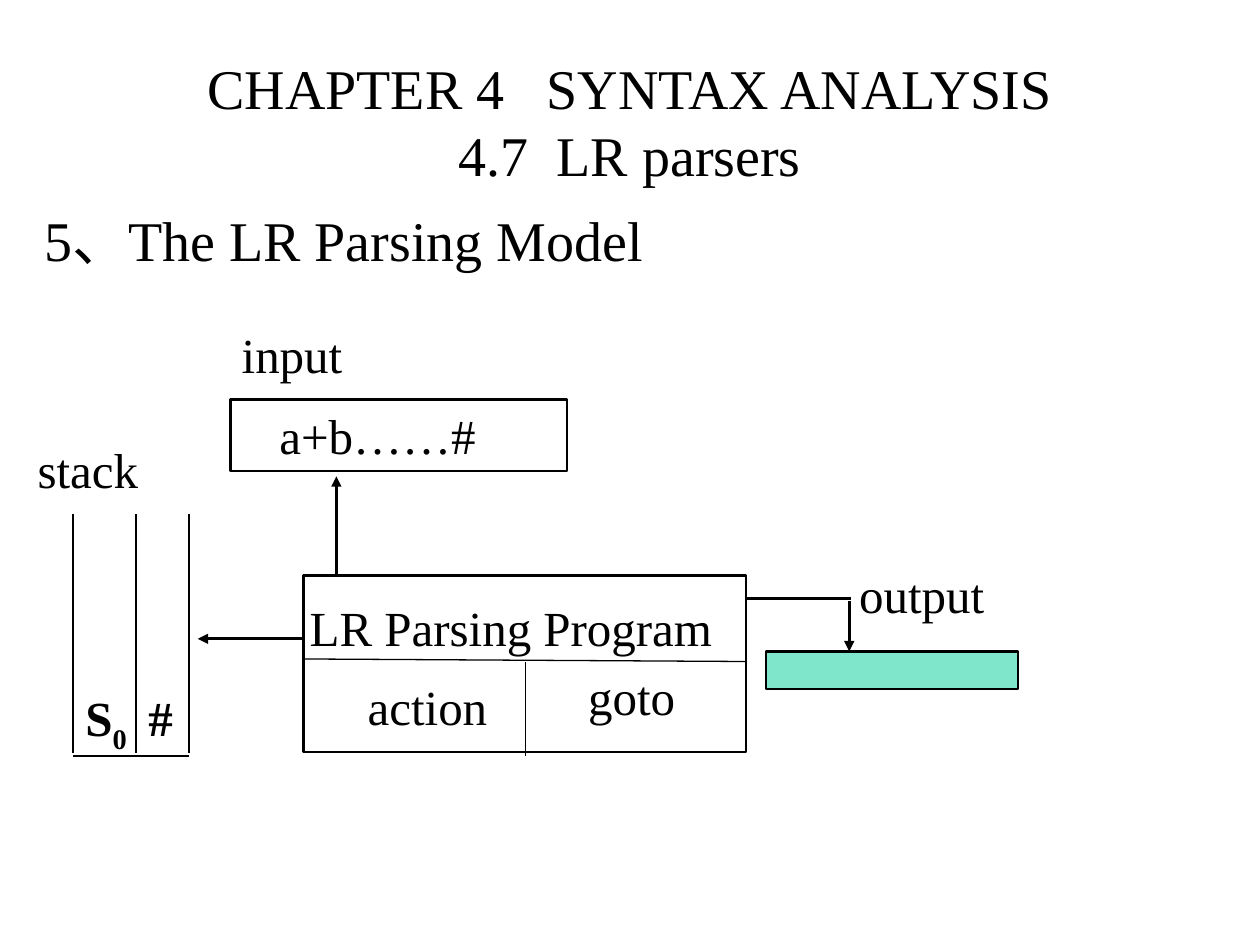
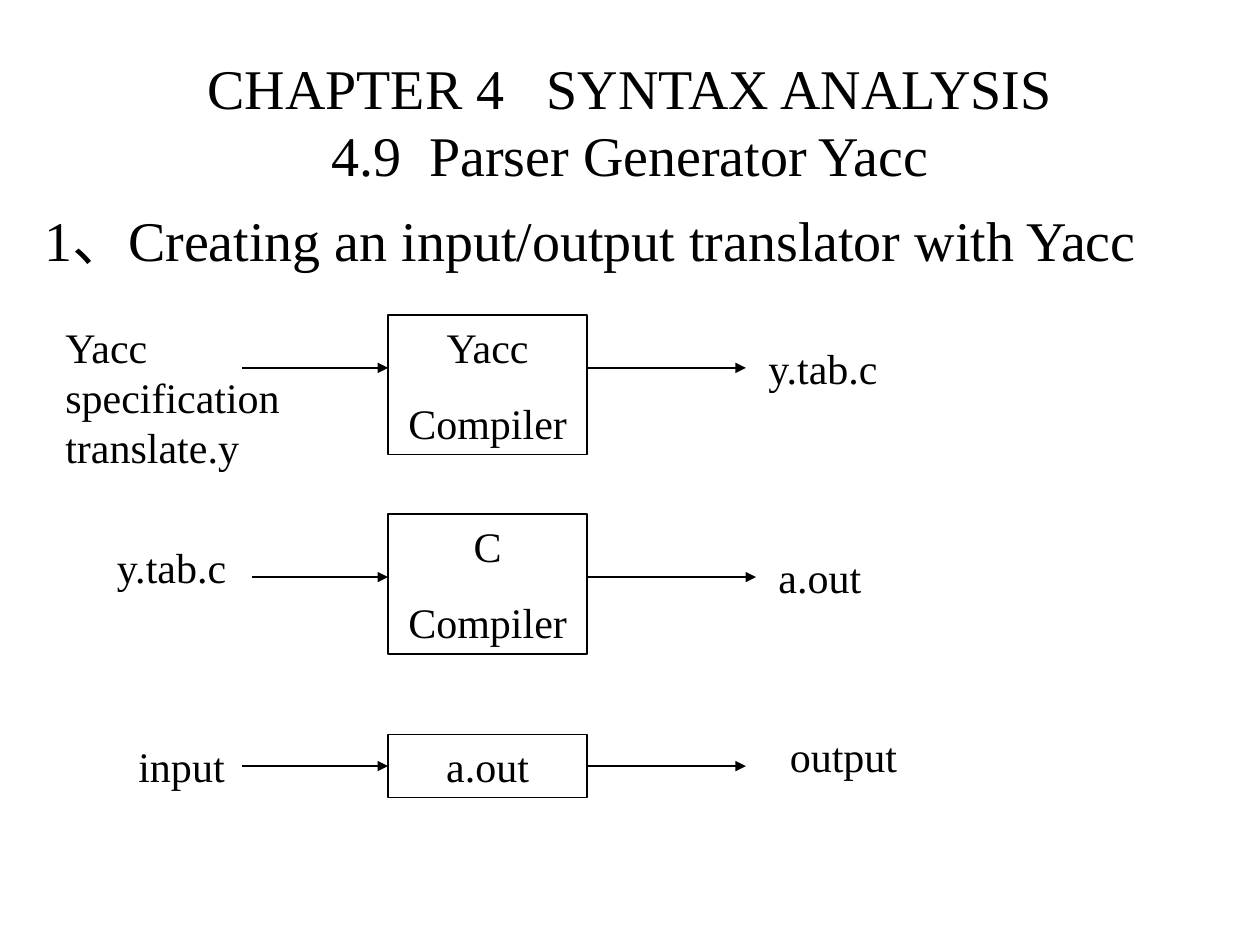
"""Build two syntax analysis slides: the LR parsing model and the Yacc workflow."""
from lxml import etree
from pptx import Presentation
from pptx.dml.color import RGBColor
from pptx.enum.shapes import MSO_CONNECTOR, MSO_SHAPE
from pptx.enum.text import MSO_ANCHOR, MSO_AUTO_SIZE, PP_ALIGN
from pptx.oxml.ns import qn
from pptx.util import Inches, Pt

RECTANGLE = MSO_SHAPE.RECTANGLE
STRAIGHT = MSO_CONNECTOR.STRAIGHT
LEFT, CENTER = PP_ALIGN.LEFT, PP_ALIGN.CENTER
MIDDLE, TOP = MSO_ANCHOR.MIDDLE, MSO_ANCHOR.TOP
NO_AUTOFIT = MSO_AUTO_SIZE.NONE
LEFT_SIDE, RIGHT_SIDE = 1, 3

COLORS = {"ink": "000000", "output": "00CC99"}
FONT = "Times New Roman"
HEADING_SIZE, MODEL_SIZE, FLOW_SIZE = 32, 28, 24
THICK, THIN = 1.5, 0.75

CHAPTER = "CHAPTER 4   SYNTAX ANALYSIS"
TITLE_AREA = (0.75, 0.17, 8.5, 1.58)
BODY_AREA = (0.25, 1.58, 9.25, 5.67)

MODEL = {"section": "4.7  LR parsers", "topic": "5、The LR Parsing Model"}
PROGRAM_AREA = (2.41, 4.57, 3.51, 1.4)
OUTPUT_AREA = (6.08, 5.17, 2, 0.3)
INPUT_AREA = (1.83, 3.17, 2.67, 0.57)
INPUT_TEXT, INPUT_INDENT = "a+b……#", 0.29
STACK_AREA = (0.58, 5.41, 1.17, 0.65)
STACK_TAB = 0.5
STACK_COLUMNS, STACK_TOP, STACK_BOTTOM = (0.58, 1.08, 1.5), 4.08, 5.98
MODEL_LABELS = [
    ("LR Parsing Program", 2.36, 4.69, 3.39),
    ("output", 6.72, 4.43, 1.19),
    ("action", 2.82, 5.32, 1.15),
    ("goto", 4.57, 5.24, 0.89),
    ("input", 1.82, 2.53, 1),
    ("stack", 0.2, 3.44, 1),
]
MODEL_LABEL_HEIGHT = 0.57
MODEL_LINES = [
    ((2.67, 4.57), (2.67, 3.78), THICK, True),
    ((2.41, 5.07), (1.57, 5.07), THICK, True),
    ((5.92, 4.75), (6.75, 4.75), THICK, False),
    ((6.74, 4.77), (6.74, 5.17), THICK, True),
    ((0.58, 6), (1.5, 6), THIN, False),
    ((2.42, 5.23), (5.92, 5.25), THIN, False),
    ((4.17, 5.25), (4.17, 6), THIN, False),
]

YACC = {"section": "4.9  Parser Generator Yacc",
        "topic": "1、Creating an input/output translator with Yacc"}
STEP_LEFT, STEP_WIDTH = 3.08, 1.58
STEPS = [
    {"tool": ["Yacc", "Compiler"], "top": 2.5, "height": 1.11,
     "arrow_y": 2.92, "start": 1.92, "end": 5.92,
     "source": ("Yacc specification translate.y", 0.42, 2.5, 2.08, 1.3),
     "result": ("y.tab.c", 6, 2.67, 2, 0.5)},
    {"tool": ["C", "Compiler"], "top": 4.08, "height": 1.11,
     "arrow_y": 4.58, "start": 2, "end": 6,
     "source": ("y.tab.c", 0.83, 4.25, 1.58, 0.5),
     "result": ("a.out", 6.08, 4.33, 2.08, 0.5)},
    {"tool": ["a.out"], "top": 5.83, "height": 0.5,
     "arrow_y": 6.08, "start": 1.92, "end": 5.92,
     "source": ("input", 1, 5.83, 1, 0.5),
     "result": ("output", 6.17, 5.75, 1.33, 0.5)},
]


def rgb(name):
    return RGBColor.from_string(COLORS[name])


def inches(area):
    return [Inches(length) for length in area]


def style(paragraph, size, align=LEFT, bold=False):
    paragraph.alignment = align
    font = paragraph.font
    font.name, font.size, font.bold = FONT, Pt(size), bold
    font.color.rgb = rgb("ink")


def write(frame, lines, size, align=LEFT, wrap=True):
    frame.word_wrap = wrap
    frame.vertical_anchor = TOP
    frame.text = "\n".join(lines)
    for index, paragraph in enumerate(frame.paragraphs):
        paragraph.space_before = Pt(15 if index else 0)
        style(paragraph, size, align)


def add_label(slide, text, area, size, wrap=True):
    label = slide.shapes.add_textbox(*inches(area))
    write(label.text_frame, [text], size, wrap=wrap)


def add_box(slide, area, width, fill=None):
    box = slide.shapes.add_shape(RECTANGLE, *inches(area))
    box.shadow.inherit = False
    box.line.color.rgb = rgb("ink")
    box.line.width = Pt(width)
    if fill:
        box.fill.solid()
        box.fill.fore_color.rgb = rgb(fill)
    else:
        box.fill.background()
    return box


def add_line(slide, start, end, width, arrow=False):
    line = slide.shapes.add_connector(STRAIGHT, *inches(start + end))
    line.line.color.rgb = rgb("ink")
    line.line.width = Pt(width)
    properties = line._element.spPr
    if arrow:
        etree.SubElement(properties.find(qn("a:ln")), qn("a:tailEnd"), type="triangle")
    etree.SubElement(properties, qn("a:effectLst"))
    return line


def place(placeholder, area, text, anchor):
    placeholder.left, placeholder.top, placeholder.width, placeholder.height = inches(area)
    frame = placeholder.text_frame
    frame.text = text
    frame.auto_size = NO_AUTOFIT
    frame.vertical_anchor = anchor
    return frame.paragraphs[0]


def add_slide(deck, content):
    slide = deck.slides.add_slide(deck.slide_layouts[1])
    heading = place(slide.shapes.title, TITLE_AREA, f"{CHAPTER}\v{content['section']}", MIDDLE)
    style(heading, HEADING_SIZE, CENTER)
    topic = place(slide.placeholders[1], BODY_AREA, content["topic"], TOP)
    topic.space_before = Pt(0)
    properties = topic._p.get_or_add_pPr()
    properties.set("marL", str(Inches(0.38)))
    properties.set("indent", str(Inches(-0.38)))
    etree.SubElement(properties, qn("a:buNone"))
    style(topic, HEADING_SIZE)
    return slide


def add_stack(slide):
    for x in STACK_COLUMNS:
        add_line(slide, (x, STACK_TOP), (x, STACK_BOTTOM), THIN)
    frame = slide.shapes.add_textbox(*inches(STACK_AREA)).text_frame
    frame.word_wrap = True
    entries = frame.paragraphs[0]
    tabs = etree.SubElement(entries._p.get_or_add_pPr(), qn("a:tabLst"))
    etree.SubElement(tabs, qn("a:tab"), pos=str(Inches(STACK_TAB)), algn="l")
    style(entries, MODEL_SIZE, bold=True)
    for text, baseline in (("S", 0), ("0", -25000), ("\t#", 0)):
        run = entries.add_run()
        run.text = text
        run._r.get_or_add_rPr().set("baseline", str(baseline))


def add_model(deck):
    slide = add_slide(deck, MODEL)
    add_box(slide, PROGRAM_AREA, THICK)
    output = add_box(slide, OUTPUT_AREA, THICK, "output")
    color = output._element.spPr.find(qn("a:solidFill"))[0]
    etree.SubElement(color, qn("a:alpha"), val="50000")
    tape = add_box(slide, INPUT_AREA, THICK).text_frame
    write(tape, [INPUT_TEXT], MODEL_SIZE)
    tape.paragraphs[0]._p.get_or_add_pPr().set("marL", str(Inches(INPUT_INDENT)))
    for start, end, width, arrow in MODEL_LINES:
        add_line(slide, start, end, width, arrow)
    add_stack(slide)
    for text, left, top, width in MODEL_LABELS:
        add_label(slide, text, (left, top, width, MODEL_LABEL_HEIGHT), MODEL_SIZE, wrap=False)


def add_yacc(deck):
    slide = add_slide(deck, YACC)
    step_right = STEP_LEFT + STEP_WIDTH
    for step in STEPS:
        tool = add_box(slide, (STEP_LEFT, step["top"], STEP_WIDTH, step["height"]), THIN)
        write(tool.text_frame, step["tool"], FLOW_SIZE, CENTER)
        y = step["arrow_y"]
        arrow_in = add_line(slide, (step["start"], y), (STEP_LEFT, y), THIN, True)
        arrow_out = add_line(slide, (step_right, y), (step["end"], y), THIN, True)
        if abs(step["top"] + step["height"] / 2 - y) < 0.01:
            arrow_in.end_connect(tool, LEFT_SIDE)
            arrow_out.begin_connect(tool, RIGHT_SIDE)
        for text, *area in (step["source"], step["result"]):
            add_label(slide, text, area, FLOW_SIZE)


def main():
    deck = Presentation()
    deck.slide_width, deck.slide_height = Inches(10), Inches(7.5)
    add_model(deck)
    add_yacc(deck)
    deck.save("out.pptx")


if __name__ == "__main__":
    main()
